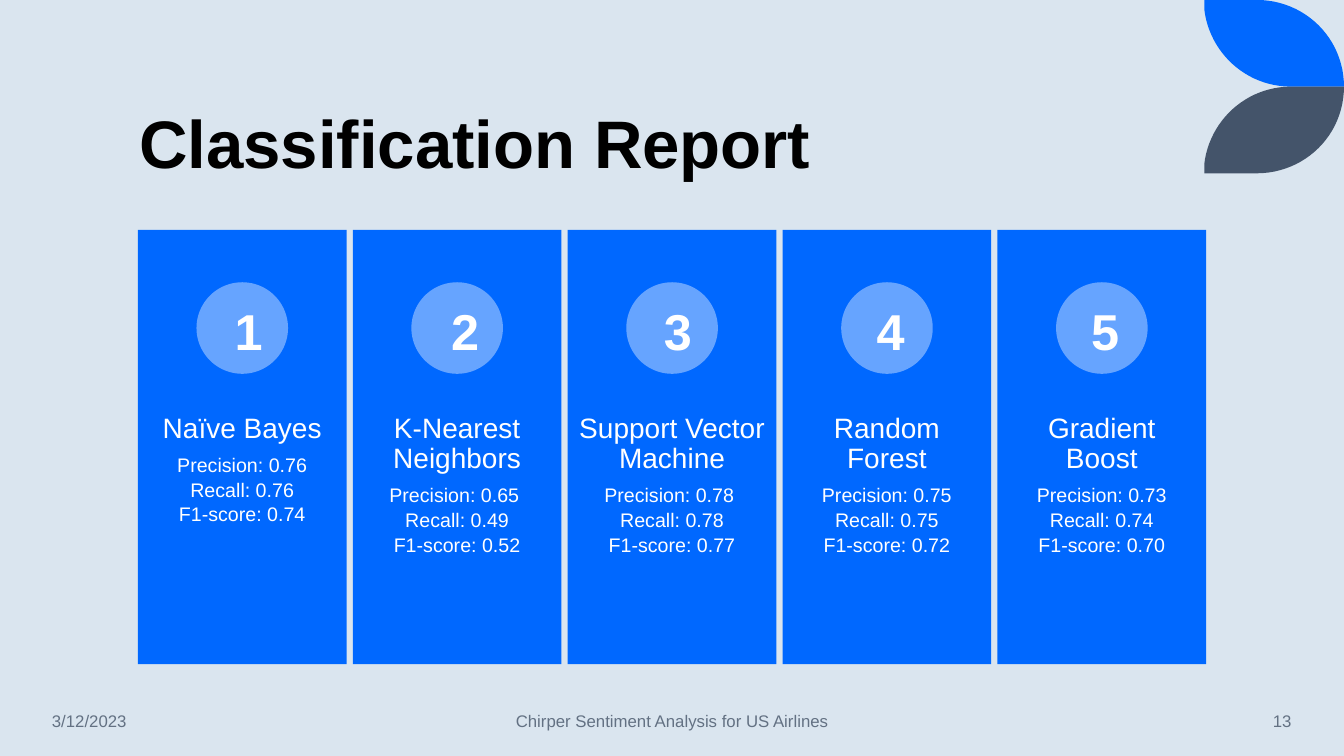
from pptx import Presentation
from pptx.dml.color import RGBColor
from pptx.enum.shapes import MSO_SHAPE
from pptx.enum.text import MSO_ANCHOR, PP_ALIGN
from pptx.util import Pt

TITLE = "Classification Report"
MODELS = [
    ("Naïve Bayes", ["Precision: 0.76", "Recall: 0.76", "F1-score: 0.74"], 62),
    ("K-Nearest Neighbors", ["Precision: 0.65 ", "Recall: 0.49", "F1-score: 0.52"], 63.2),
    ("Support Vector Machine", ["Precision: 0.78 ", "Recall: 0.78", "F1-score: 0.77"], 61.6),
    ("Random Forest", ["Precision: 0.75", "Recall: 0.75", "F1-score: 0.72"], 60),
    ("Gradient Boost", ["Precision: 0.73", "Recall: 0.74", "F1-score: 0.70"], 59.8),
]
FOOTER = [
    ("3/12/2023", (30, 500.4, 134, 28.8), PP_ALIGN.LEFT),
    ("Chirper Sentiment Analysis for US Airlines", (318.2, 500.4, 324, 28.8), PP_ALIGN.CENTER),
    ("13", (799.2, 500.4, 130.4, 28.8), PP_ALIGN.RIGHT),
]
THEME = {
    "font": "Arial",
    "background": "DAE5EF", "card": "0068FF", "circle": "66A4FF", "leaf": "44546A",
    "title": "000000", "light": "FFFFFF", "footer": "637183",
    "title_size": 48, "number_size": 36, "model_size": 20, "score_size": 14, "footer_size": 12,
}
CARD_LEFT, CARD_TOP, CARD_WIDTH, CARD_HEIGHT, CARD_PITCH = 98.5, 164.2, 149.1, 310.2, 153.5
CIRCLE_TOP, CIRCLE_SIZE = 201.6, 65.4
SCORES_TOP, SCORES_HEIGHT = 288, 124
NUMBER_TOP, NUMBER_WIDTH, NUMBER_HEIGHT = 211, 27.4, 51.1
LEAF_LEFT, LEAF_HEIGHT = 860.2, 61.9

deck = Presentation()
deck.slide_width, deck.slide_height = Pt(960), Pt(540)
slide = deck.slides.add_slide(deck.slide_layouts[6])
slide.background.fill.solid()
slide.background.fill.fore_color.rgb = RGBColor.from_string(THEME["background"])


def paint(shape, color):
    shape.shadow.inherit = False
    shape.fill.solid()
    shape.fill.fore_color.rgb = RGBColor.from_string(THEME[color])
    shape.line.fill.background()


def add_block(kind, box, color):
    paint(slide.shapes.add_shape(kind, *map(Pt, box)), color)


def add_text(lines, box, *, color, bold=False, align=PP_ALIGN.LEFT,
             anchor=MSO_ANCHOR.TOP, spacing=None, inset=None):
    frame = slide.shapes.add_textbox(*map(Pt, box)).text_frame
    frame.word_wrap = True
    frame.vertical_anchor = anchor
    if inset is not None:
        frame.margin_left = frame.margin_right = Pt(inset)
        frame.margin_top = frame.margin_bottom = Pt(inset)
    for index, (text, size, after) in enumerate(lines):
        paragraph = frame.add_paragraph() if index else frame.paragraphs[0]
        paragraph.alignment = align
        paragraph.line_spacing = spacing
        paragraph.space_after = Pt(after)
        run = paragraph.add_run()
        run.text = text
        run.font.name = THEME["font"]
        run.font.size = Pt(THEME[size])
        run.font.bold = bold
        run.font.color.rgb = RGBColor.from_string(THEME[color])


def curve(start, pull, push, end, steps=24):
    for step in range(1, steps + 1):
        t = step / steps
        weights = ((1 - t) ** 3, 3 * t * (1 - t) ** 2, 3 * t ** 2 * (1 - t), t ** 3)
        yield tuple(sum(w * p[axis] for w, p in zip(weights, (start, pull, push, end)))
                    for axis in (0, 1))


def add_leaf(color, flipped):
    outline = [(0, 0), (37.4, 0)]
    outline += curve((37.4, 0), (72, 0), (99.8, 27.4), (99.8, LEAF_HEIGHT))
    outline.append((62, LEAF_HEIGHT))
    outline += curve((62, LEAF_HEIGHT), (29.6, LEAF_HEIGHT), (3.6, 37.4), (0, 6.5))
    points = [(Pt(LEAF_LEFT + x), Pt(2 * LEAF_HEIGHT - y if flipped else y))
              for x, y in outline]
    builder = slide.shapes.build_freeform(*points[0])
    builder.add_line_segments(points[1:], close=True)
    paint(builder.convert_to_shape(), color)


add_leaf("card", False)
add_leaf("leaf", True)
add_text([(TITLE, "title_size", 0)], (92.2, 30.2, 769.7, 104.4), color="title",
         bold=True, anchor=MSO_ANCHOR.BOTTOM, spacing=0.9)

for position, (model, scores, number_offset) in enumerate(MODELS):
    left = CARD_LEFT + position * CARD_PITCH
    add_block(MSO_SHAPE.RECTANGLE, (left, CARD_TOP, CARD_WIDTH, CARD_HEIGHT), "card")
    add_text([(model, "model_size", 8)] + [(score, "score_size", 2.5) for score in scores],
             (left, SCORES_TOP, CARD_WIDTH, SCORES_HEIGHT), color="light",
             align=PP_ALIGN.CENTER, spacing=0.9, inset=7.9)
    add_block(MSO_SHAPE.OVAL, (left + (CARD_WIDTH - CIRCLE_SIZE) / 2, CIRCLE_TOP,
                               CIRCLE_SIZE, CIRCLE_SIZE), "circle")
    add_text([(str(position + 1), "number_size", 0)],
             (left + number_offset, NUMBER_TOP, NUMBER_WIDTH, NUMBER_HEIGHT),
             color="light", bold=True, align=PP_ALIGN.CENTER)

for text, box, align in FOOTER:
    add_text([(text, "footer_size", 0)], box, color="footer", align=align,
             anchor=MSO_ANCHOR.MIDDLE)

deck.save("out.pptx")
